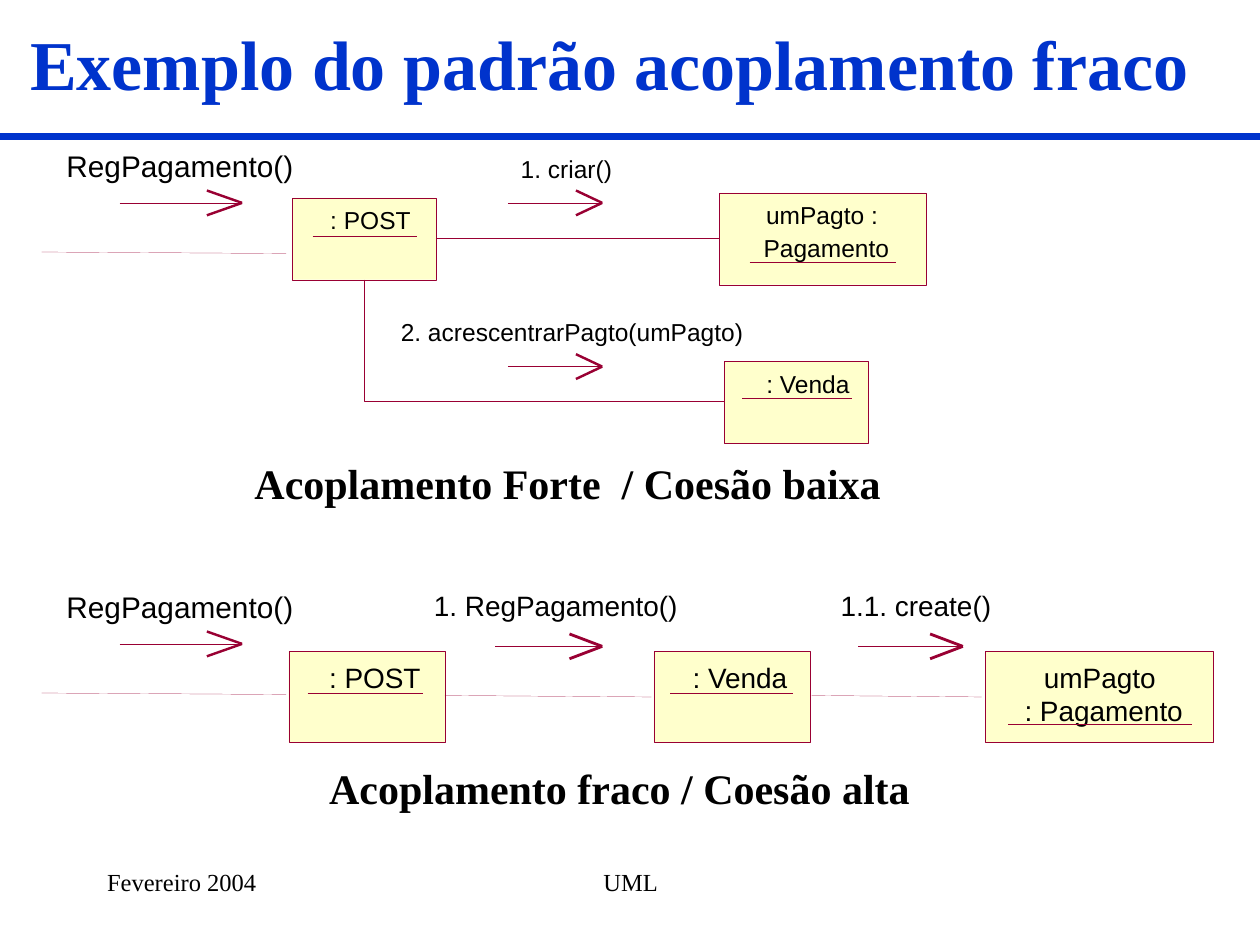
from lxml import etree
from pptx import Presentation
from pptx.dml.color import RGBColor
from pptx.enum.shapes import MSO_CONNECTOR, MSO_SHAPE
from pptx.enum.text import MSO_ANCHOR, MSO_AUTO_SIZE, PP_ALIGN
from pptx.oxml.ns import qn
from pptx.util import Cm, Pt

STRAIGHT = MSO_CONNECTOR.STRAIGHT
RECT = MSO_SHAPE.RECTANGLE
TOP, MIDDLE = MSO_ANCHOR.TOP, MSO_ANCHOR.MIDDLE
FIXED, GROW = MSO_AUTO_SIZE.NONE, MSO_AUTO_SIZE.SHAPE_TO_FIT_TEXT
LEFT, CENTER = PP_ALIGN.LEFT, PP_ALIGN.CENTER

COLORS = {"title": "0033CC", "text": "000000", "box": "FFFFCC", "line": "990033"}
SANS, SERIF = "Arial", "Times New Roman"
HAIRLINE = 0.1  # a width of 0 would fall back to the theme's thick line


def rgb(name):
    return RGBColor.from_string(COLORS[name])


def write(tf, text, size=14, font=SANS, color="text", bold=False, align=CENTER,
          anchor=TOP, wrap=False, fit=GROW, inset=(0, 0)):
    """Fill a text frame, one paragraph per line of text."""
    tf.word_wrap = wrap
    tf.auto_size = fit
    tf.vertical_anchor = anchor
    tf.margin_left = tf.margin_right = Cm(inset[0])
    tf.margin_top = tf.margin_bottom = Cm(inset[1])
    for i, line in enumerate(text.split("\n")):
        p = tf.paragraphs[0] if i == 0 else tf.add_paragraph()
        p.alignment = align
        r = p.add_run()
        r.text = line
        r.font.size = Pt(size)
        r.font.name = font
        r.font.bold = bold
        r.font.color.rgb = rgb(color)


class Diagram:
    """Draws on the current slide, in centimetres."""

    block = {"font": SERIF, "wrap": True, "inset": (0.25, 0.13)}

    def __init__(self, slide):
        self.slide = slide
        self.shapes = slide.shapes

    def group(self):
        self.shapes = self.slide.shapes.add_group_shape().shapes

    def ungroup(self):
        self.shapes = self.slide.shapes

    def title(self, text, x, y, w, h):
        sp = self.slide.shapes.title
        sp.left, sp.top, sp.width, sp.height = Cm(x), Cm(y), Cm(w), Cm(h)
        write(sp.text_frame, text, size=40, color="title", bold=True,
              anchor=MIDDLE, fit=FIXED, **self.block)

    def text(self, text, x, y, w, h, **fmt):
        sp = self.shapes.add_textbox(Cm(x), Cm(y), Cm(w), Cm(h))
        write(sp.text_frame, text, **fmt)

    def caption(self, text, x, y, w, **fmt):
        self.text(text, x, y, w, 1.27, size=24, bold=True, **self.block, **fmt)

    def footer(self, text, x, w, align):
        self.text(text, x, 17.35, w, 1.27, align=align, fit=FIXED, **self.block)

    def box(self, x, y, w, h):
        sp = self.shapes.add_shape(RECT, Cm(x), Cm(y), Cm(w), Cm(h))
        sp.shadow.inherit = False
        sp.fill.solid()
        sp.fill.fore_color.rgb = rgb("box")
        self.stroke(sp)

    def stroke(self, sp, width=HAIRLINE, color="line"):
        sp.line.color.rgb = rgb(color)
        sp.line.width = Pt(width)

    def line(self, x1, y1, x2, y2, width=HAIRLINE, color="line"):
        cx = self.shapes.add_connector(STRAIGHT, Cm(x1), Cm(y1), Cm(x2), Cm(y2))
        self.stroke(cx, width, color)
        etree.SubElement(cx._element.spPr, qn("a:effectLst"))

    def arrow(self, x1, x2, y, head, width=1.39):
        """Message arrow with an open head made of two strokes."""
        self.line(x1, y, x2, y)
        for rise in (0.25, -0.25):
            self.line(x2, y, x2 - head, y + rise, width)

    def route(self, start, *points):
        fb = self.shapes.build_freeform(Cm(start[0]), Cm(start[1]))
        fb.add_line_segments([(Cm(x), Cm(y)) for x, y in points], close=False)
        sp = fb.convert_to_shape()
        sp.shadow.inherit = False
        sp.fill.background()
        self.stroke(sp)

    def incoming(self, top):
        """Incoming RegPagamento() message, placed from its label's top."""
        self.line(0.84, top + 2.11, 5.77, top + 2.14)
        self.text(" RegPagamento()", 1.17, top, 4.75, 0.71, size=17)
        self.arrow(2.41, 4.88, top + 1.12, 0.71)


def main():
    prs = Presentation()
    prs.slide_width, prs.slide_height = Cm(25.4), Cm(19.05)
    d = Diagram(prs.slides.add_slide(prs.slide_layouts[5]))

    # Title and rule
    d.title("Exemplo do padrão acoplamento fraco", 0, 0, 24.56, 2.54)
    d.line(0, 2.75, 25.4, 2.75, width=4, color="title")

    # Weak coupling: object name, box x, box w, text x, text w, underline x1, x2, y
    d.group()
    for name, x, w, tx, tw, x1, x2, y in (
        (" : POST", 5.82, 3.15, 6.38, 2.2, 6.2, 8.53, 13.97),
        (" : Venda", 13.18, 3.15, 13.69, 2.3, 13.51, 15.98, 13.97),
        ("umPagto \n: Pagamento", 19.86, 4.6, 20.55, 3.4, 20.32, 24.03, 14.6),
    ):
        d.box(x, 13.13, w, 1.83)
        d.text(name, tx, 13.31, tw, 0.69, size=16)
        d.line(x1, y, x2, y)
    # Messages: label, label x, label w, link x1, x2, arrow x1, x2
    for label, x, w, link1, link2, x1, x2 in (
        ("1. RegPagamento()", 8.64, 5.13, 8.97, 13.13, 9.98, 12.14),
        ("1.1. create()", 16.84, 3.25, 16.36, 19.79, 17.3, 19.41),
    ):
        d.line(link1, 14.02, link2, 14.05)
        d.arrow(x1, x2, 13.03, 0.66, width=1.62)
        d.text(label, x, 11.86, w, 0.69, size=16)
    d.incoming(11.86)
    d.caption("Acoplamento fraco / Coesão alta", 5.72, 15.24, 13.54)

    # Strong coupling: boxes, names and underlines
    d.group()
    for box in ((5.89, 3.99, 2.9, 1.65), (14.5, 3.89, 4.17, 1.85), (14.6, 7.29, 2.9, 1.65)):
        d.box(*box)
    for name, x, y, w in (
        (" : POST", 6.3, 4.14, 2.2),
        ("umPagto : ", 15.34, 4.04, 2.6),
        ("Pagamento", 15.29, 4.7, 2.74),
        (" : Venda", 15.12, 7.44, 2.2),
    ):
        d.text(name, x, y, w, 0.58)
    for x1, x2, y in ((6.3, 8.41, 4.75), (15.11, 18.06, 5.28), (14.96, 17.17, 8.03)):
        d.line(x1, y, x2, y)
    # Links and messages
    d.line(8.79, 4.8, 14.5, 4.8)
    d.route((7.34, 5.64), (7.34, 8.08), (14.6, 8.08))
    for label, x, y, w in (
        ("1. criar()", 10.32, 3.1, 2.2),
        ("2. acrescentrarPagto(umPagto)", 7.93, 6.4, 7.21),
    ):
        d.arrow(10.24, 12.14, y + 0.99, 0.53)
        d.text(label, x, y, w, 0.58)
    d.incoming(2.97)
    d.ungroup()
    d.caption("Acoplamento Forte  / Coesão baixa", 4.88, 9.09, 14.6, align=LEFT)

    # Footer
    d.footer("UML", 8.69, 8.05, CENTER)
    d.footer("Fevereiro 2004", 1.91, 5.28, LEFT)

    prs.save("out.pptx")


if __name__ == "__main__":
    main()
